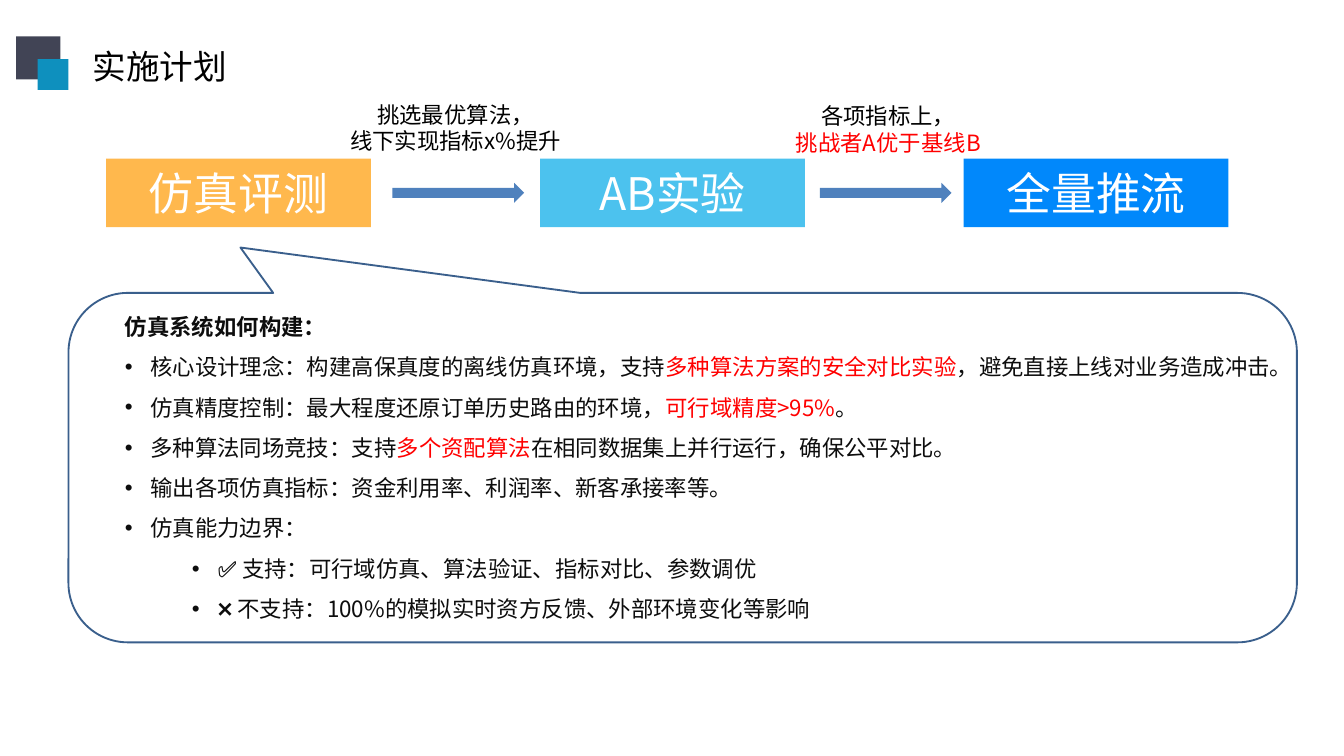
import pptx
import pptx.util
import pptx.dml.color
import pptx.enum.shapes
import pptx.enum.text
import pptx.oxml.ns
import lxml.etree

Inches = pptx.util.Inches
KINDS = pptx.enum.shapes.MSO_SHAPE
ALIGN = pptx.enum.text.PP_ALIGN
FONT = "Noto Sans CJK SC"
RED = "FF0000"
BODY = "0D0D0D"

STAGES = [
    (0.79, "仿真评测", "FFB84D"),
    (4.02, "AB实验", "4CC2EE"),
    (7.17, "全量推流", "0188FB"),
]
POINTS = [
    (0, "核心设计理念：构建高保真度的离线仿真环境，支持|多种算法方案的安全对比实验|，避免直接上线对业务造成冲击。"),
    (0, "仿真精度控制：最大程度还原订单历史路由的环境，|可行域精度>95%|。"),
    (0, "多种算法同场竞技：支持|多个资配算法|在相同数据集上并行运行，确保公平对比。"),
    (0, "输出各项仿真指标：资金利用率、利润率、新客承接率等。"),
    (0, "仿真能力边界："),
    (1, "✅ 支持：可行域仿真、算法验证、指标对比、参数调优"),
    (1, "❌ 不支持：100%的模拟实时资方反馈、外部环境变化等影响"),
]


def color(code):
    return pptx.dml.color.RGBColor.from_string(code)


def add_tag(parent, name, **attrs):
    return lxml.etree.SubElement(parent, pptx.oxml.ns.qn(name), **attrs)


def add_bullet(para, level):
    para.level = level
    props = para._p.get_or_add_pPr()
    props.set("marL", str(Inches(0.19 + 0.5 * level)))
    props.set("indent", str(Inches(-0.19)))
    add_tag(props, "a:buFont", typeface="Arial")
    add_tag(props, "a:buChar", char="•")


def add_text(frame, text, size=12, tint="000000", bold=False, align=ALIGN.LEFT,
             space=None, level=None):
    first = frame.paragraphs[0]
    para = frame.add_paragraph() if first.runs else first
    if level is not None:
        add_bullet(para, level)
    para.alignment = align
    if space:
        para.line_spacing = space
    for index, part in enumerate(text.split("|")):
        if not part:
            continue
        run = para.add_run()
        run.text = part
        run.font.size = pptx.util.Pt(size)
        run.font.bold = bold
        run.font.color.rgb = color(RED if index % 2 else tint)
        run.font.name = FONT
        add_tag(run._r.get_or_add_rPr(), "a:ea", typeface=FONT)


def add_box(slide, left, top, width, height, wrap=True):
    box = slide.shapes.add_textbox(*map(Inches, (left, top, width, height)))
    box.text_frame.word_wrap = wrap
    return box.text_frame


def add_form(slide, kind, left, top, width, height, fill, line=None):
    form = slide.shapes.add_shape(kind, *map(Inches, (left, top, width, height)))
    form.shadow.inherit = False
    form.fill.solid()
    form.fill.fore_color.rgb = color(fill)
    if line:
        form.line.color.rgb = color(line)
        form.line.width = pptx.util.Pt(1)
    else:
        form.line.fill.background()
    return form


def add_title(slide):
    add_form(slide, KINDS.RECTANGLE, 0.12, 0.27, 0.33, 0.32, "414455")
    add_form(slide, KINDS.RECTANGLE, 0.28, 0.44, 0.23, 0.23, "0E90BE")
    add_text(add_box(slide, 0.59, 0.29, 1.2, 0.4, wrap=False), "实施计划", size=18)


def add_detail(slide):
    bubble = add_form(slide, KINDS.ROUNDED_RECTANGULAR_CALLOUT,
                      0.51, 2.18, 9.14, 2.6, "FFFFFF", line="3A5F8C")
    for index, value in enumerate((-0.36, -0.63, 0.17)):
        bubble.adjustments[index] = value
    frame = add_box(slide, 0.83, 2.18, 8.99, 2.52)
    add_text(frame, "仿真系统如何构建：", tint=BODY, bold=True, space=1.5)
    for level, text in POINTS:
        add_text(frame, text, tint=BODY, space=1.5, level=level)


def add_stage(slide, left, text, fill):
    form = add_form(slide, KINDS.RECTANGLE, left, 1.18, 1.97, 0.51, fill)
    frame = form.text_frame
    frame.vertical_anchor = pptx.enum.text.MSO_ANCHOR.MIDDLE
    add_text(frame, text, size=24, tint="FFFFFF", align=ALIGN.CENTER)


def add_step(slide, arrow, left, top, width, lines):
    add_form(slide, KINDS.RIGHT_ARROW, arrow, 1.36, 0.98, 0.15, "4F81BD")
    frame = add_box(slide, left, top, width, 0.5)
    for line in lines:
        add_text(frame, line, align=ALIGN.CENTER)


def main():
    deck = pptx.Presentation()
    deck.slide_width = Inches(10)
    deck.slide_height = Inches(10 * 9 / 16)
    slide = deck.slides.add_slide(deck.slide_layouts[6])
    add_title(slide)
    add_detail(slide)
    for stage in STAGES:
        add_stage(slide, *stage)
    add_step(slide, 2.92, 1.93, 0.7, 2.92, ["挑选最优算法，", "线下实现指标x%提升"])
    add_step(slide, 6.1, 5.16, 0.71, 2.9, ["各项指标上，", "|挑战者A优于基线B|"])
    deck.save("out.pptx")


if __name__ == "__main__":
    main()
